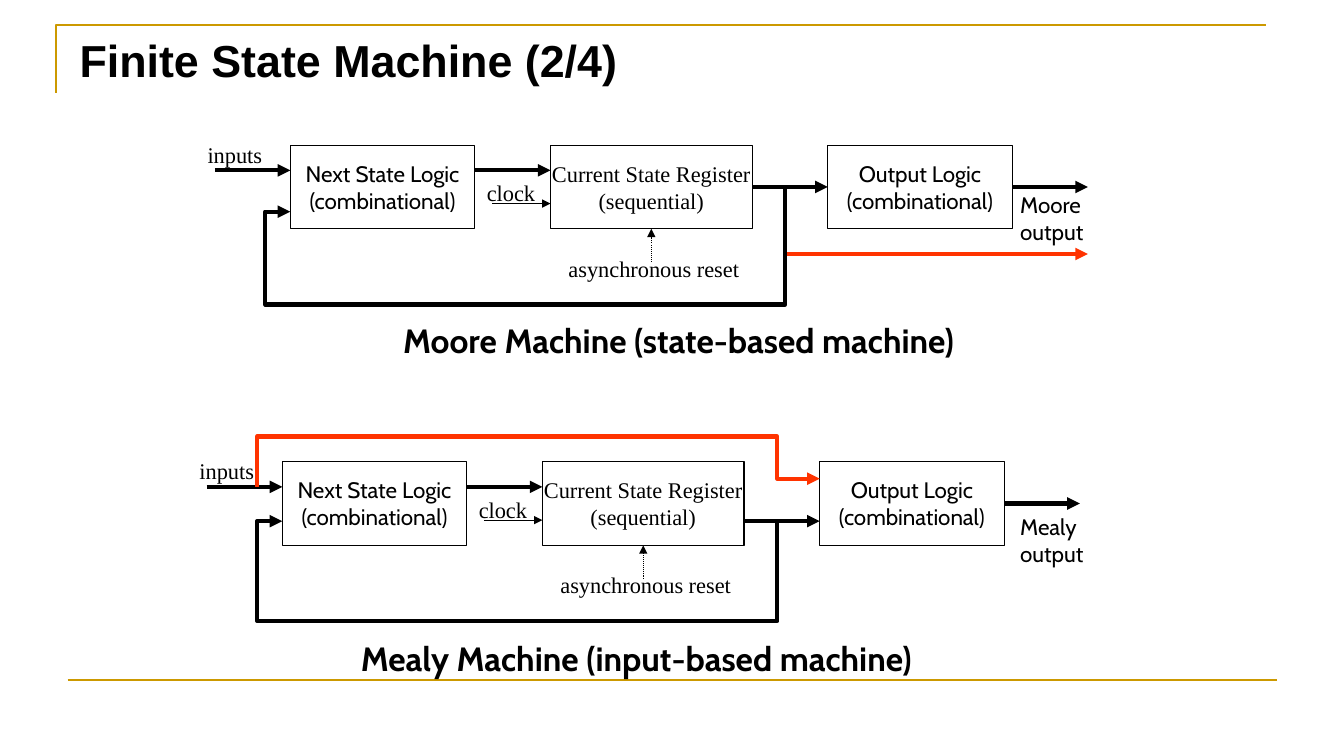
from dataclasses import dataclass
from typing import Optional

from lxml import etree
from pptx import Presentation
from pptx.dml.color import RGBColor
from pptx.enum import dml, shapes, text
from pptx.oxml import ns
from pptx.util import Inches, Pt

BLACK = RGBColor(0x00, 0x00, 0x00)
RED = RGBColor(0xFF, 0x33, 0x00)
GOLD = RGBColor(0xCC, 0x99, 0x00)
SANS = "Cabin"
SERIF = "Times New Roman"
BOX_HEIGHT = 0.83
MIDDLE = BOX_HEIGHT / 2
BOTTOM, LEFT, RIGHT = 2, 1, 3

Point = tuple[float, float]


@dataclass(frozen=True)
class Block:
    title: str
    kind: str
    left: float
    width: float
    font: str


@dataclass(frozen=True)
class Label:
    lines: tuple[str, ...]
    at: Point
    size: Point
    font: str = SERIF
    points: int = 16
    bold: bool = False


@dataclass(frozen=True)
class Arrow:
    start: Point
    end: Point
    width: float = 3
    color: RGBColor = BLACK
    dotted: bool = False
    head: bool = True
    source: Optional[tuple[str, int]] = None
    target: Optional[tuple[str, int]] = None


@dataclass(frozen=True)
class Route:
    points: tuple[Point, ...]
    color: RGBColor = BLACK
    width: float = 3
    head: bool = True


@dataclass(frozen=True)
class Machine:
    origin: Point
    state_arrow: Arrow
    feedback_y: float
    output_name: str
    output_top: float
    caption: Label
    arrows: tuple[Arrow, ...] = ()
    routes: tuple[Route, ...] = ()


NEXT, REGISTER, OUTPUT = "Next State Logic", "Current State Register", "Output Logic"
BLOCKS = (
    Block(NEXT, "(combinational)", 0, 1.83, SANS),
    Block(REGISTER, "(sequential)", 2.58, 2, SERIF),
    Block(OUTPUT, "(combinational)", 5.33, 1.83, SANS),
)
SHARED_ARROWS = (
    Arrow((-0.75, 0.25), (0, 0.25)),
    Arrow((1.83, 0.25), (2.58, 0.25)),
    Arrow((7.16, MIDDLE), (7.91, MIDDLE), source=(OUTPUT, RIGHT)),
    Arrow((2, 0.58), (2.58, 0.58), 0.75),
    Arrow((3.58, 1.16), (3.58, BOX_HEIGHT), 0.75, dotted=True, target=(REGISTER, BOTTOM)),
)
SHARED_LABELS = (
    Label(("clock",), (1.85, 0.29), (0.68, 0.37)),
    Label(("inputs",), (-0.92, -0.09), (0.75, 0.37)),
    Label(("asynchronous reset",), (2.66, 1.04), (1.9, 0.37)),
)
BRANCH_X = 4.91
MACHINES = (
    Machine(
        (2.88, 1.44),
        Arrow((4.58, MIDDLE), (5.33, MIDDLE), source=(REGISTER, RIGHT), target=(OUTPUT, LEFT)),
        0.66, "Moore", 1.85,
        Label(("Moore Machine (state-based machine)",), (3.9, 3.12), (6.71, 0.5), SANS, 24, True),
        arrows=(Arrow((BRANCH_X, 1.08), (7.91, 1.08), color=RED),),
    ),
    Machine(
        (2.8, 4.58),
        Arrow((4.58, 0.59), (5.33, 0.59)),
        0.59, "Mealy", 5.04,
        Label(("Mealy Machine (input-based machine)",), (3.48, 6.28), (6.67, 0.5), SANS, 24, True),
        routes=(Route(((-0.25, 0.25), (-0.25, -0.25), (BRANCH_X, -0.25),
                       (BRANCH_X, 0.17), (5.33, 0.17)), RED),),
    ),
)


def shift(point: Point, origin: Point) -> Point:
    return point[0] + origin[0], point[1] + origin[1]


def style_line(shape, color: RGBColor, width: float, head: bool) -> None:
    shape.line.color.rgb = color
    shape.line.width = Pt(width)
    if head:
        outline = shape.line._get_or_add_ln()
        etree.SubElement(outline, ns.qn("a:tailEnd"), type="triangle")


def write(frame, lines: tuple[str, ...], font: str, points: int,
          bold: bool = False, align=None) -> None:
    frame.word_wrap = False
    for index, line in enumerate(lines):
        paragraph = frame.paragraphs[0] if index == 0 else frame.add_paragraph()
        paragraph.alignment = align
        run = paragraph.add_run()
        run.text = line
        run.font.name = font
        run.font.size = Pt(points)
        run.font.bold = bold
        run.font.color.rgb = BLACK


def draw_label(slide, label: Label, origin: Point = (0, 0)) -> None:
    box = slide.shapes.add_textbox(*map(Inches, shift(label.at, origin) + label.size))
    write(box.text_frame, label.lines, label.font, label.points, label.bold)
    box.text_frame.auto_size = text.MSO_AUTO_SIZE.SHAPE_TO_FIT_TEXT


def draw_block(slide, block: Block, origin: Point):
    place = shift((block.left, 0), origin) + (block.width, BOX_HEIGHT)
    shape = slide.shapes.add_shape(shapes.MSO_SHAPE.RECTANGLE, *map(Inches, place))
    shape.shadow.inherit = False
    shape.fill.background()
    style_line(shape, BLACK, 0.75, False)
    shape.text_frame.vertical_anchor = text.MSO_ANCHOR.MIDDLE
    write(shape.text_frame, (block.title, block.kind), block.font, 16, align=text.PP_ALIGN.CENTER)
    return shape


def draw_arrow(slide, arrow: Arrow, origin: Point = (0, 0), blocks: Optional[dict] = None) -> None:
    ends = shift(arrow.start, origin) + shift(arrow.end, origin)
    connector = slide.shapes.add_connector(shapes.MSO_CONNECTOR.STRAIGHT, *map(Inches, ends))
    if arrow.source:
        connector.begin_connect(blocks[arrow.source[0]], arrow.source[1])
    if arrow.target:
        connector.end_connect(blocks[arrow.target[0]], arrow.target[1])
    if arrow.dotted:
        connector.line.dash_style = dml.MSO_LINE.ROUND_DOT
    style_line(connector, arrow.color, arrow.width, arrow.head)
    etree.SubElement(connector._element.spPr, ns.qn("a:effectLst"))


def draw_route(slide, route: Route, origin: Point = (0, 0)) -> None:
    points = [tuple(map(Inches, shift(point, origin))) for point in route.points]
    builder = slide.shapes.build_freeform(*points[0])
    builder.add_line_segments(points[1:], close=False)
    shape = builder.convert_to_shape()
    shape.shadow.inherit = False
    shape.fill.background()
    style_line(shape, route.color, route.width, route.head)


def draw_machine(slide, machine: Machine) -> None:
    blocks = {block.title: draw_block(slide, block, machine.origin) for block in BLOCKS}
    state_y, feedback_y = machine.state_arrow.start[1], machine.feedback_y
    feedback = Route(((BRANCH_X, state_y), (BRANCH_X, 1.58), (-0.25, 1.58),
                      (-0.25, feedback_y), (0, feedback_y)))
    for arrow in SHARED_ARROWS + (machine.state_arrow,) + machine.arrows:
        draw_arrow(slide, arrow, machine.origin, blocks)
    for route in (feedback,) + machine.routes:
        draw_route(slide, route, machine.origin)
    for label in SHARED_LABELS:
        draw_label(slide, label, machine.origin)
    draw_label(slide, Label((machine.output_name, "output"), (10.02, machine.output_top),
                            (0.85, 0.64), SANS))
    draw_label(slide, machine.caption)


def main() -> None:
    presentation = Presentation()
    presentation.slide_width, presentation.slide_height = Inches(13.33), Inches(7.5)
    slide = presentation.slides.add_slide(presentation.slide_layouts[6])
    draw_route(slide, Route(((0.56, 0.92), (0.56, 0.25), (12.56, 0.25)), GOLD, 1.5, False))
    draw_arrow(slide, Arrow((0.67, 6.75), (12.67, 6.75), 1.5, GOLD, head=False))
    draw_label(slide, Label(("Finite State Machine (2/4)",), (0.69, 0.28), (5.58, 0.64),
                            "Arial", 32, True))
    for machine in MACHINES:
        draw_machine(slide, machine)
    presentation.save("out.pptx")


if __name__ == "__main__":
    main()
